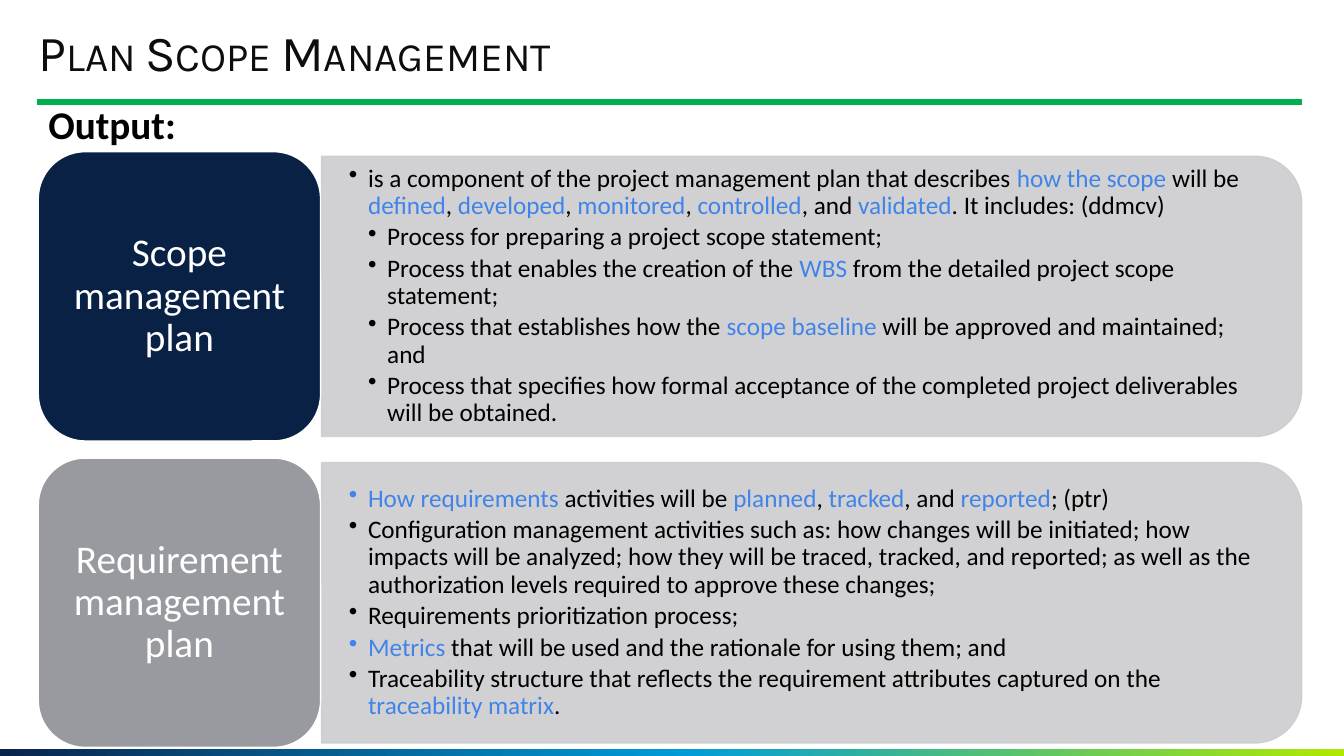
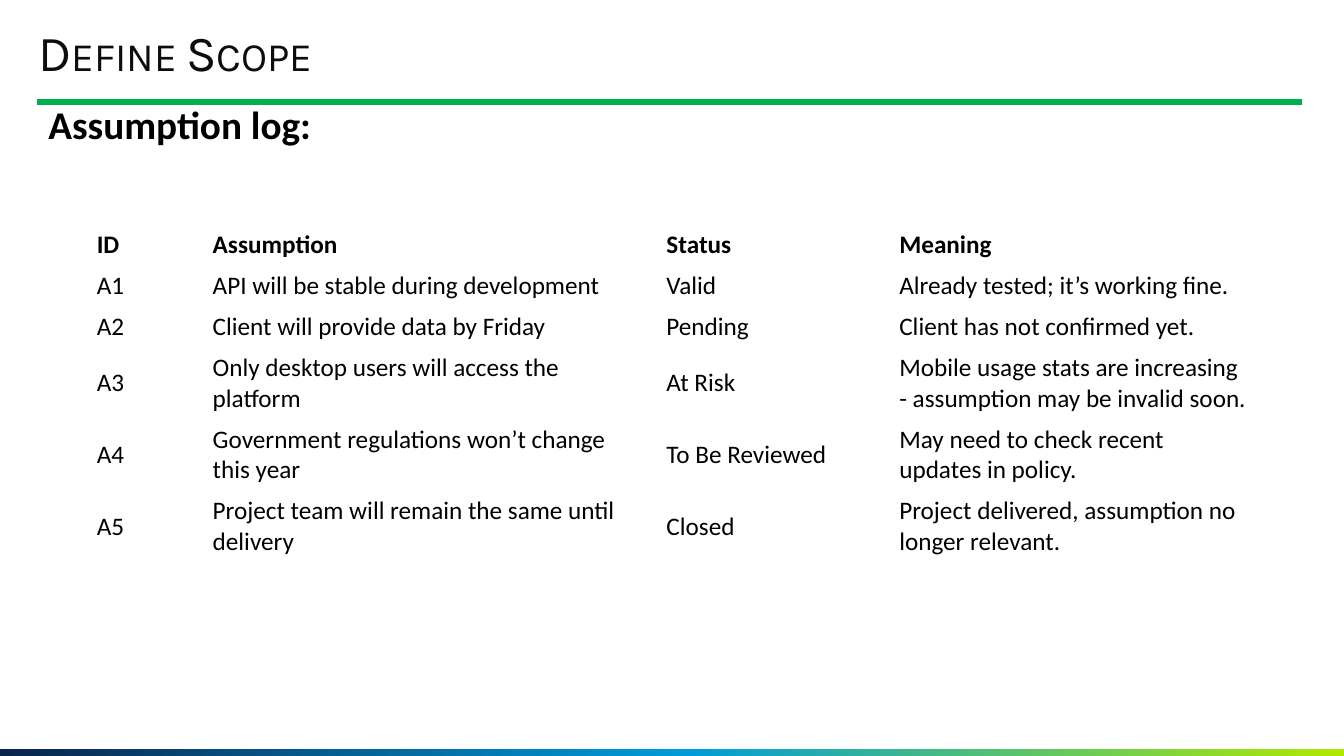
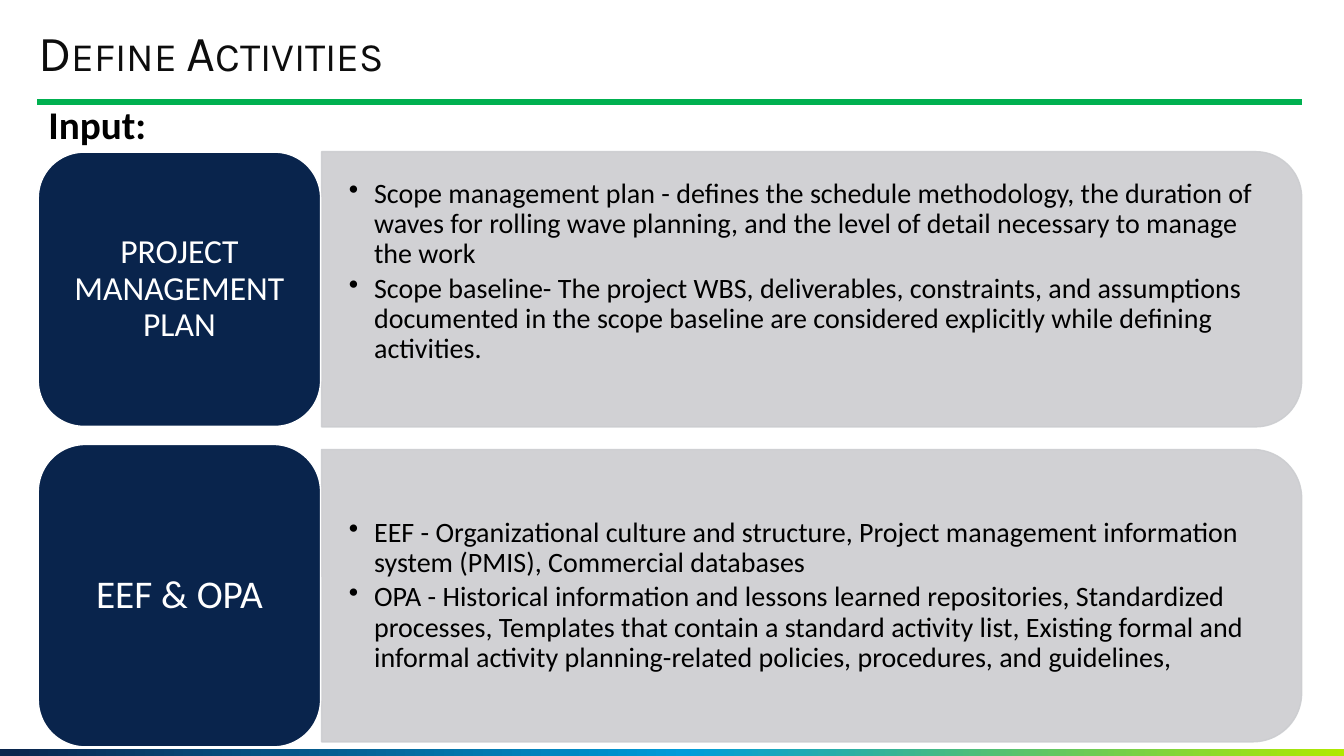
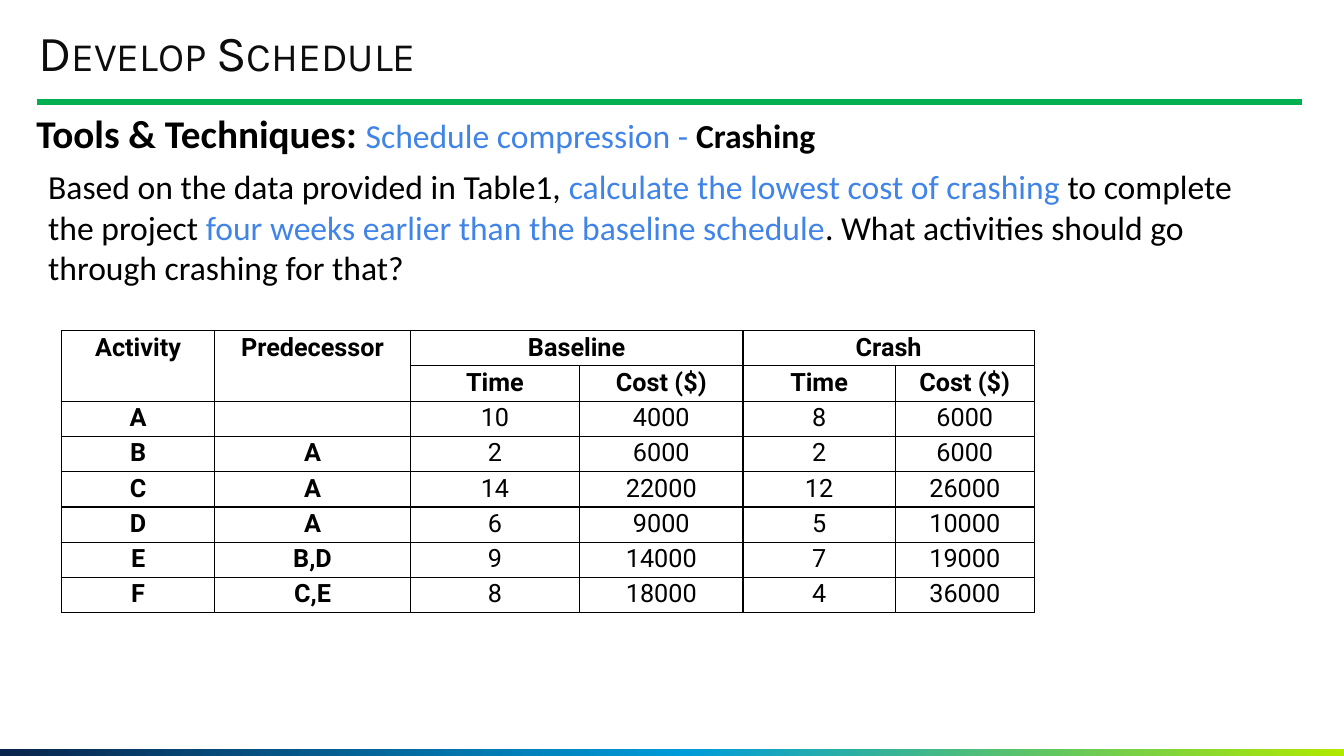
from copy import deepcopy
from dataclasses import dataclass

from lxml.etree import SubElement
from pptx import Presentation
from pptx.dml.color import RGBColor as RGB
from pptx.enum.shapes import MSO_CONNECTOR as LINK, MSO_SHAPE as SHAPE
from pptx.enum.text import MSO_ANCHOR as ANCHOR, MSO_AUTO_SIZE as FIT, PP_ALIGN as ALIGN
from pptx.oxml.ns import qn
from pptx.util import Inches, Pt


@dataclass(frozen=True)
class Theme:
    navy: str = "09244C"
    deep: str = "082145"
    grey: str = "989A9F"
    panel: str = "CCCDD0"
    green: str = "00B050"
    blue: str = "4184E8"
    ink: str = "0D0D0D"
    black: str = "000000"
    white: str = "FFFFFF"
    band: tuple = ((0, "09244C"), (0.51, "009CDA"), (1, "B0E900"))
    face: str = "Calibri"
    head: str = "Karla"
    data: str = "Roboto"
    title: int = 36
    large: int = 28
    mid: int = 24
    list: int = 20
    small: int = 18


def box(*sides):
    return [Inches(side) for side in sides]


def inset(frame, across, down):
    frame.margin_left = frame.margin_right = Inches(across)
    frame.margin_top = frame.margin_bottom = Inches(down)


def bullet(para, left=0.0, hang=0.0, mark=None):
    """Set the indents of an a:p element, and its bullet or the lack of one."""
    props = para.get_or_add_pPr()
    props.set("marL", str(Inches(left)))
    props.set("indent", str(-Inches(hang)))
    if mark:
        SubElement(props, qn("a:buChar")).set("char", mark)
    else:
        SubElement(props, qn("a:buNone"))


class Deck:
    def __init__(self, theme):
        self.theme = theme
        self.prs = Presentation()
        self.prs.slide_width, self.prs.slide_height = box(13.33, 7.5)
        self.layout = self.prs.slide_layouts[1]
        self.slide = None
        places = (0.38, 0.27, 11.19, 0.55), (0.38, 1, 12.53, 0.55)
        for spot, place in zip(self.layout.placeholders, places):
            spot.left, spot.top, spot.width, spot.height = box(*place)

    def font(self, font, size, color, bold=False, face=None):
        font.name, font.size, font.bold = face or self.theme.face, Pt(size), bold
        font.color.rgb = RGB.from_string(color)

    def fill(self, para, text, size):
        """Fill a paragraph; the parts between bars are blue."""
        for n, part in enumerate(text.split("|")):
            if part:
                run = para.add_run()
                run.text = part
                self.font(run.font, size, self.theme.blue if n % 2 else self.theme.black)

    def shape(self, kind, place, color, line=None):
        shape = self.slide.shapes.add_shape(kind, *box(*place))
        shape.shadow.inherit = False
        shape.fill.solid()
        shape.fill.fore_color.rgb = RGB.from_string(color)
        if line:
            shape.line.color.rgb = RGB.from_string(line)
            shape.line.width = Pt(1)
        else:
            shape.line.fill.background()
        return shape

    def frame(self, place):
        """Add a text box; return it and its wrapped frame."""
        area = self.slide.shapes.add_textbox(*box(*place))
        area.text_frame.word_wrap = True
        return area, area.text_frame

    def furnish(self):
        """Draw the foot band and title rule, and hand them to the layout."""
        band = self.shape(SHAPE.RECTANGLE, (0, 7.43, 13.33, 0.07), self.theme.navy)
        band.fill.gradient()
        band.fill.gradient_angle = 0
        stops = band.element.spPr.find(".//" + qn("a:gsLst"))
        stops.insert(1, deepcopy(stops[0]))
        for stop, (place, color) in zip(band.fill.gradient_stops, self.theme.band):
            stop.position = place
            stop.color.rgb = RGB.from_string(color)
        rule = self.slide.shapes.add_connector(LINK.STRAIGHT, *box(0.37, 1.01, 12.91, 1.01))
        rule.line.color.rgb = RGB.from_string(self.theme.green)
        rule.line.width = Pt(4.5)
        SubElement(rule.element.spPr, qn("a:effectLst"))
        for n, part in enumerate((band, rule), 20):
            part.element.find(".//" + qn("p:cNvPr")).set("id", str(n))
            self.layout.shapes.element.append(part.element)

    def page(self, title, lead):
        """Start a slide with its title and bold lead; return the lead."""
        first = self.slide is None
        self.slide = self.prs.slides.add_slide(self.layout)
        if first:
            self.furnish()
        head = self.slide.shapes.title
        frame = head.text_frame
        frame.text = title
        inset(frame, 0, 0)
        frame.vertical_anchor = ANCHOR.MIDDLE
        frame.auto_size = FIT.SHAPE_TO_FIT_TEXT
        para = frame.paragraphs[0]
        para.alignment, para.line_spacing = ALIGN.LEFT, 0.9
        self.font(para.runs[0].font, self.theme.title, self.theme.ink, face=self.theme.head)
        for props in head.element.iter(qn("a:rPr")):
            props.set("cap", "small")

        body = self.slide.placeholders[1]
        frame = body.text_frame
        frame.text = lead
        frame.auto_size = FIT.NONE
        for item in body.element.iter(qn("a:p")):
            bullet(item)
        para = frame.paragraphs[0]
        para.space_before, para.line_spacing = Pt(0), 0.9
        self.font(para.runs[0].font, self.theme.large, self.theme.black, True)
        return body

    def card(self, name, mid, tall, color, items, subs=(), size=18, hang=0.19,
             high=2.78, label=28, lift=0):
        """Draw a label with a bulleted panel beside it, both centred on mid."""
        wide, left = 9.72, 3.19
        panel = self.shape(SHAPE.ROUND_2_SAME_RECTANGLE,
                           (left + (wide - high) / 2, mid - wide / 2, high, wide),
                           self.theme.panel, self.theme.panel)
        panel.rotation = 90
        for tint in panel.element.spPr.iter(qn("a:srgbClr")):
            SubElement(tint, qn("a:alpha")).set("val", "90000")

        area, frame = self.frame((left, mid - lift - high / 2, 9.58, high))
        inset(frame, 0.27, 0.14)
        frame.vertical_anchor = ANCHOR.MIDDLE
        lines = [(1, text) for text in items] + [(2, text) for text in subs]
        for _ in lines[1:]:
            frame.add_paragraph()
        for item, (level, _) in zip(area.element.iter(qn("a:p")), lines):
            bullet(item, level * hang, hang, "•")
        for para, (_, text) in zip(frame.paragraphs, lines):
            para.line_spacing, para.space_after = 0.9, Pt(3)
            self.fill(para, text, size)

        tag = self.shape(SHAPE.ROUNDED_RECTANGLE, (0.38, mid - tall / 2, 2.8, tall),
                         color, self.theme.white)
        frame = tag.text_frame
        frame.text = name
        frame.word_wrap = True
        frame.vertical_anchor = ANCHOR.MIDDLE
        inset(frame, 0.12, 0.06)
        para = frame.paragraphs[0]
        para.alignment, para.line_spacing = ALIGN.CENTER, 0.9
        self.font(para.runs[0].font, label, self.theme.white)

    def edge(self, cell):
        """Give a cell thin black borders."""
        props = cell.get_or_add_tcPr()
        for side in "LRTB":
            line = SubElement(props, qn("a:ln" + side), w=str(Pt(1)))
            SubElement(SubElement(line, qn("a:solidFill")), qn("a:srgbClr"), val=self.theme.black)

    def grid(self, place, cols, rows, high, heads, ruled=False):
        """Add a table; heads gives the count of bold rows and columns."""
        area = self.slide.shapes.add_table(
            len(rows), len(cols), *box(*place, sum(cols), high * len(rows)))
        table = area.table
        table.first_row = table.horz_banding = False
        for col, wide in zip(table.columns, cols):
            col.width = Inches(wide)
        if ruled:
            for item in area.element.iter(qn("a:tc")):
                self.edge(item)
        for r, row in enumerate(rows):
            for c, text in enumerate(row):
                cell = table.cell(r, c)
                cell.fill.background()
                cell.vertical_anchor = ANCHOR.TOP if ruled else ANCHOR.MIDDLE
                if ruled:
                    inset(cell, 0.07, 0)
                cell.text_frame.text = text
                para = cell.text_frame.paragraphs[0]
                if ruled:
                    para.alignment, para.line_spacing = ALIGN.CENTER, 1.07
                self.font(para.font, self.theme.small, self.theme.black)
                for run in para.runs:
                    self.font(run.font, self.theme.small, self.theme.black,
                              r < heads[0] or c < heads[1],
                              self.theme.data if ruled else None)
        return table


def scope(deck):
    theme = deck.theme
    deck.page("Plan Scope Management", "Output:")
    deck.card(
        "Scope management plan", 2.94, 2.87, theme.deep,
        ["is a component of the project management plan that describes |how the scope |will be "
         "|defined|, |developed|, |monitored|, |controlled|, and |validated|. It includes: (ddmcv)"],
        ["Process for preparing a project scope statement;",
         "Process that enables the creation of the |WBS| from the detailed project scope statement;",
         "Process that establishes how the |scope baseline |will be approved and maintained; and",
         "Process that specifies how formal acceptance of the completed project deliverables "
         "will be obtained."])
    deck.card(
        "Requirement management plan", 5.98, 2.87, theme.grey,
        ["|How requirements| activities will be |planned|, |tracked|, and |reported|; (ptr)",
         "Configuration management activities such as: how changes will be initiated; how impacts "
         "will be analyzed; how they will be traced, tracked, and reported; as well as the "
         "authorization levels required to approve these changes;",
         "Requirements prioritization process;",
         "|Metrics| that will be used and the rationale for using them; and",
         "Traceability structure that reflects the requirement attributes captured on the "
         "|traceability matrix|."])


def assume(deck):
    deck.page("Define Scope", "Assumption log:")
    rows = [
        ("ID", "Assumption", "Status", "Meaning"),
        ("A1", "API will be stable during development", "Valid",
         "Already tested; it’s working fine."),
        ("A2", "Client will provide data by Friday", "Pending", "Client has not confirmed yet."),
        ("A3", "Only desktop users will access the platform", "At Risk",
         "Mobile usage stats are increasing - assumption may be invalid soon."),
        ("A4", "Government regulations won’t change this year", "To Be Reviewed",
         "May need to check recent updates in policy."),
        ("A5", "Project team will remain the same until delivery", "Closed",
         "Project delivered, assumption no longer relevant."),
    ]
    deck.grid((0.86, 2.23), (1.15, 4.5, 2.31, 3.66), rows, 0.4, (1, 0))


def tasks(deck):
    theme = deck.theme
    deck.page("Define Activities", "Input:")
    deck.card(
        "PROJECT MANAGEMENT PLAN", 2.87, 2.72, theme.navy,
        ["Scope management plan - defines the schedule methodology, the duration of waves for "
         "rolling wave planning, and the level of detail necessary to manage the work",
         "Scope baseline- The project WBS, deliverables, constraints, and assumptions documented "
         "in the scope baseline are considered explicitly while defining activities."],
        size=theme.list, hang=0.25, high=2.73, label=theme.mid, lift=0.17)
    deck.card(
        "EEF & OPA", 5.91, 3, theme.navy,
        ["EEF - Organizational culture and structure, Project management information system "
         "(PMIS), Commercial databases",
         "OPA - Historical information and lessons learned repositories, Standardized processes, "
         "Templates that contain a standard activity list, Existing formal and informal activity "
         "planning-related policies, procedures, and guidelines,"],
        size=theme.list, hang=0.25, high=2.9)


def crash(deck):
    theme = deck.theme
    lead = deck.page("Develop Schedule", "Tools & Techniques: ")
    lead.left, lead.top, lead.width, lead.height = box(0.26, 1.03, 12.57, 0.57)
    para = lead.text_frame.paragraphs[0]
    para.line_spacing = 1.0
    deck.fill(para, "|Schedule compression - |Crashing", theme.mid)
    para.runs[-1].font.bold = True
    _, frame = deck.frame((0.38, 1.6, 12.45, 1.31))
    deck.fill(frame.paragraphs[0],
              "Based on the data provided in Table1, |calculate the lowest cost of crashing |to "
              "complete the project |four weeks earlier than the baseline schedule|. What "
              "activities should go through crashing for that?", theme.mid)
    rows = [
        ("Activity", "Predecessor", "Baseline", "", "Crash", ""),
        ("", "", "Time", "Cost ($)", "Time", "Cost ($)"),
        ("A", "", "10", "4000", "8", "6000"),
        ("B", "A", "2", "6000", "2", "6000"),
        ("C", "A", "14", "22000", "12", "26000"),
        ("D", "A", "6", "9000", "5", "10000"),
        ("E", "B,D", "9", "14000", "7", "19000"),
        ("F", "C,E", "8", "18000", "4", "36000"),
    ]
    table = deck.grid((0.61, 3.28), (1.52, 1.94, 1.68, 1.62, 1.51, 1.38), rows, 0.35,
                      (2, 2), ruled=True)
    for start, end in (((0, 0), (1, 0)), ((0, 1), (1, 1)), ((0, 2), (0, 3)), ((0, 4), (0, 5))):
        table.cell(*start).merge(table.cell(*end))


def main():
    deck = Deck(Theme())
    for build in (scope, assume, tasks, crash):
        build(deck)
    deck.prs.save("out.pptx")


if __name__ == "__main__":
    main()
